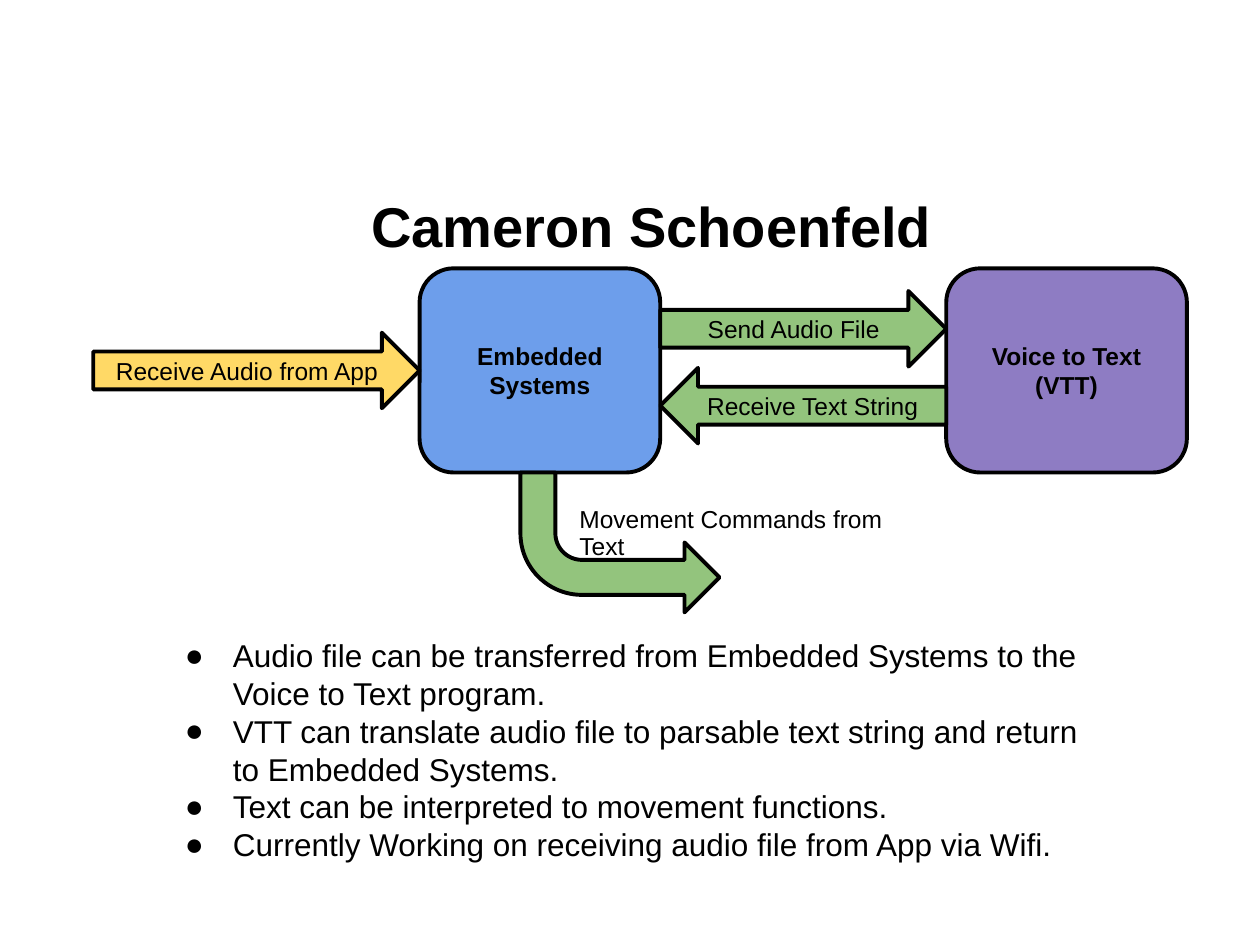
from lxml.etree import SubElement
from pptx import Presentation
from pptx.dml.color import RGBColor
from pptx.enum.shapes import MSO_SHAPE as Shape
from pptx.enum.text import MSO_ANCHOR as Anchor, PP_ALIGN as Align
from pptx.oxml.ns import qn
from pptx.util import Inches, Pt

COLORS = {"ink": "000000", "blue": "6D9EEB", "purple": "8E7CC3",
          "green": "93C47D", "yellow": "FFD966"}
TITLE = "Cameron Schoenfeld"
MOVEMENT = "Movement Commands from Text"
POINTS = [
    "Audio file can be transferred from Embedded Systems to the Voice to Text program.",
    "VTT can translate audio file to parsable text string and return to Embedded Systems.",
    "Text can be interpreted to movement functions.",
    "Currently Working on receiving audio file from App via Wifi.",
]

# Diagram columns: input arrow, embedded box, exchange arrows, VTT box
EDGES = [0.74, 3.33, 5.24, 7.51, 9.42]
BOX_TOP, BOX_HEIGHT, ARROW_HEIGHT = 2.13, 1.62, 0.6
# text, column, preset, top, height, colour, bold
NODES = [
    ("Embedded Systems", 1, Shape.ROUNDED_RECTANGLE, BOX_TOP, BOX_HEIGHT, "blue", True),
    ("Voice to Text (VTT)", 3, Shape.ROUNDED_RECTANGLE, BOX_TOP, BOX_HEIGHT, "purple", True),
    ("Send Audio File", 2, Shape.RIGHT_ARROW, 2.31, ARROW_HEIGHT, "green", False),
    ("Receive Text String", 2, Shape.LEFT_ARROW, 2.92, ARROW_HEIGHT, "green", False),
    ("Receive Audio from App", 0, Shape.RIGHT_ARROW, 2.64, ARROW_HEIGHT, "yellow", False),
]


def rgb(name):
    return RGBColor.from_string(COLORS[name])


def style(paragraph, size, bold=False, **layout):
    for key, value in layout.items():
        setattr(paragraph, key, value)
    for key, value in {"name": "Arial", "size": Pt(size), "bold": bold}.items():
        setattr(paragraph.font, key, value)
    paragraph.font.color.rgb = rgb("ink")


def set_frame(frame, anchor, vertical_inset):
    values = {"word_wrap": True, "vertical_anchor": anchor,
              "margin_left": Inches(0.1), "margin_right": Inches(0.1),
              "margin_top": Inches(vertical_inset), "margin_bottom": Inches(vertical_inset)}
    for key, value in values.items():
        setattr(frame, key, value)


def add_outlined(slide, preset, box, color):
    shape = slide.shapes.add_shape(preset, *map(Inches, box))
    shape.shadow.inherit = False
    shape.fill.solid()
    shape.fill.fore_color.rgb = rgb(color)
    shape.line.color.rgb = rgb("ink")
    shape.line.width = Pt(2.25)
    return shape


def add_text(slide, box):
    frame = slide.shapes.add_textbox(*map(Inches, box)).text_frame
    set_frame(frame, Anchor.TOP, 0.05)
    return frame


def add_bullet(paragraph):
    props = paragraph._p.get_or_add_pPr()
    props.set("marL", str(Inches(0.5)))
    props.set("indent", str(Inches(-0.38)))
    color = SubElement(props, qn("a:buClr"))
    SubElement(color, qn("a:srgbClr"), val=COLORS["ink"])
    SubElement(props, qn("a:buFont"), typeface="Arial")
    SubElement(props, qn("a:buChar"), char="●")


def main():
    deck = Presentation()
    deck.slide_width, deck.slide_height = Inches(10), Inches(7.5)
    slide = deck.slides.add_slide(deck.slide_layouts[5])

    title = slide.shapes.title
    for key, value in zip(("left", "top", "width", "height"), (0.67, 1.31, 9, 0.88)):
        setattr(title, key, Inches(value))
    title.text_frame.text = TITLE
    set_frame(title.text_frame, Anchor.MIDDLE, 0.05)
    style(title.text_frame.paragraphs[0], 32, True, alignment=Align.CENTER, line_spacing=1.15)

    for text, column, preset, top, height, color, bold in NODES:
        left, right = EDGES[column:column + 2]
        node = add_outlined(slide, preset, (left, top, right - left, height), color)
        node.text_frame.text = text
        set_frame(node.text_frame, Anchor.MIDDLE, 0.1)
        style(node.text_frame.paragraphs[0], 14, bold, alignment=Align.CENTER)

    points = add_text(slide, (1.25, 5, 7.5, 2.25))
    points.text = "\n".join(POINTS)
    for paragraph in points.paragraphs:
        add_bullet(paragraph)
        style(paragraph, 18)

    turn = add_outlined(slide, Shape.BENT_ARROW, (4.13, BOX_TOP + BOX_HEIGHT, 1.58, 1.11), "green")
    for index, value in enumerate((0.25, 0.25, 0.25, 0.44)):
        turn.adjustments[index] = value
    turn.rotation = 180
    turn._element.spPr.find(qn("a:xfrm")).set("flipH", "1")

    movement = add_text(slide, (4.5, 3.98, 3.01, 0.33))
    movement.text = MOVEMENT
    style(movement.paragraphs[0], 14, line_spacing=0.9)

    deck.save("out.pptx")


if __name__ == "__main__":
    main()
